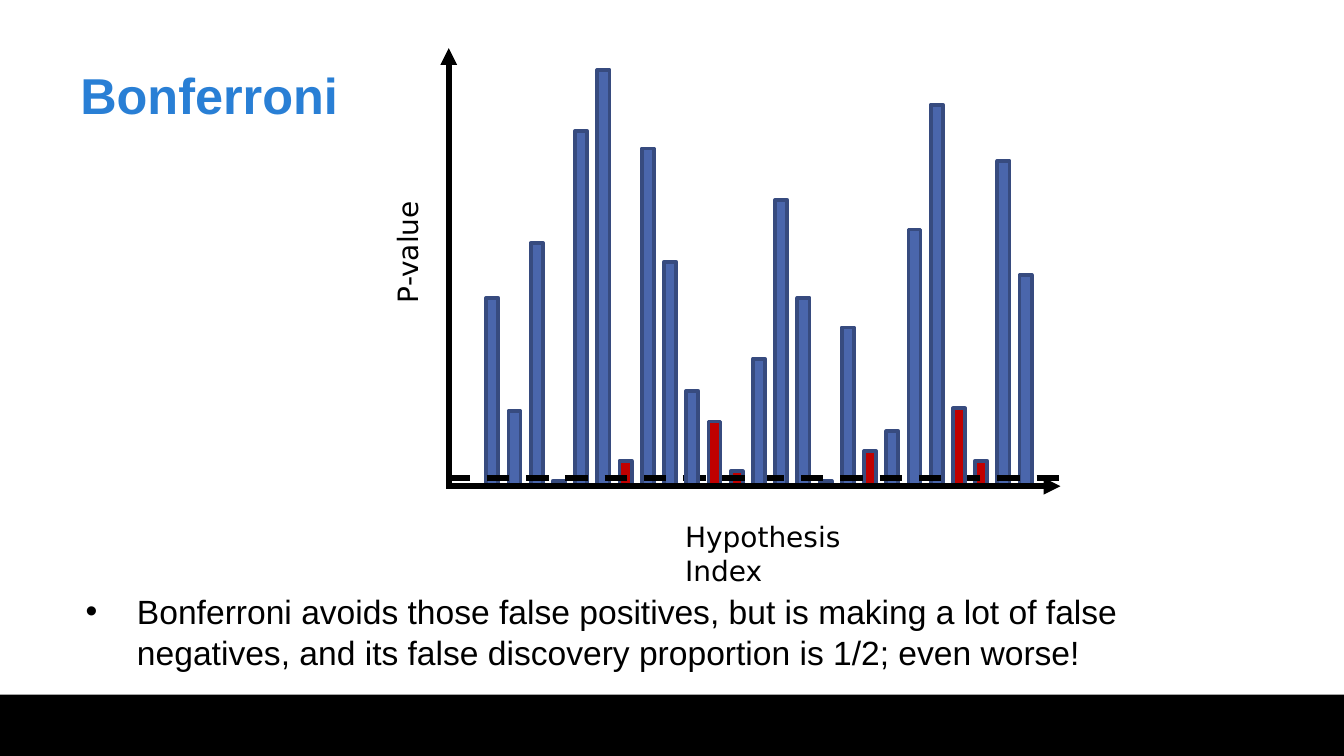
from dataclasses import dataclass

from lxml import etree
from pptx import Presentation
from pptx.dml.color import RGBColor
from pptx.enum.dml import MSO_LINE
from pptx.enum.shapes import MSO_CONNECTOR, MSO_SHAPE
from pptx.enum.text import MSO_ANCHOR
from pptx.oxml.ns import qn
from pptx.util import Cm, Pt

RECT = MSO_SHAPE.RECTANGLE
STRAIGHT = MSO_CONNECTOR.STRAIGHT
DASH = MSO_LINE.DASH
TOP, MIDDLE = MSO_ANCHOR.TOP, MSO_ANCHOR.MIDDLE


@dataclass(frozen=True)
class Theme:
    black: str = "000000"
    title: str = "297FD5"
    null_bar: str = "4A66AC"
    signal_bar: str = "C00000"
    bar_edge: str = "374B7F"
    font: str = "Arial"
    label_font: str = "DejaVu Sans"
    title_size: int = 27
    body_size: int = 18
    label_size: int = 15
    axis_width: int = 3
    edge_width: int = 2


def write_text(tf, text, *, size, font, color, bold=False):
    p = tf.paragraphs[0]
    r = p.add_run()
    r.text = text
    r.font.size = Pt(size)
    r.font.name = font
    r.font.bold = bold
    r.font.color.rgb = RGBColor.from_string(color)
    return p


class SlideBuilder:
    """Adds styled elements to a slide; positions are in centimetres."""

    def __init__(self, slide, theme):
        self.s = slide
        self.theme = theme

    def rect(self, x, y, w, h, fill, edge=None):
        sp = self.s.shapes.add_shape(RECT, Cm(x), Cm(y), Cm(w), Cm(h))
        sp.shadow.inherit = False
        sp.fill.solid()
        sp.fill.fore_color.rgb = RGBColor.from_string(fill)
        if edge:
            sp.line.color.rgb = RGBColor.from_string(edge)
            sp.line.width = Pt(self.theme.edge_width)
        else:
            sp.line.fill.background()

    def line(self, x1, y1, x2, y2, *, dash=None, arrow=False):
        cx = self.s.shapes.add_connector(STRAIGHT, Cm(x1), Cm(y1), Cm(x2), Cm(y2))
        cx.line.color.rgb = RGBColor.from_string(self.theme.black)
        cx.line.width = Pt(self.theme.axis_width)
        if dash:
            cx.line.dash_style = dash
        if arrow:
            ln = cx.line._get_or_add_ln()
            etree.SubElement(ln, qn("a:tailEnd"), type="triangle")
        etree.SubElement(cx._element.spPr, qn("a:effectLst"))

    def text(self, x, y, w, h, text, *, anchor=TOP, wrap=True, rotation=0, **style):
        sp = self.s.shapes.add_textbox(Cm(x), Cm(y), Cm(w), Cm(h))
        sp.rotation = rotation
        tf = sp.text_frame
        tf.word_wrap = wrap
        tf.vertical_anchor = anchor
        return write_text(tf, text, **style)

    def bullet(self, x, y, w, h, text, *, indent, **style):
        p = self.text(x, y, w, h, text, **style)
        pPr = p._p.get_or_add_pPr()
        pPr.set("marL", str(Cm(indent)))
        pPr.set("indent", str(-Cm(indent)))
        etree.SubElement(pPr, qn("a:buFont"), typeface=self.theme.font)
        etree.SubElement(pPr, qn("a:buChar"), char="•")


# P-value bar heights, in order of hypothesis index
HEIGHTS = [3.56, 1.42, 4.6, 0.1, 6.71, 7.87, 0.48, 6.38, 4.24, 1.8, 1.22, 0.28, 2.41,
           5.41, 3.56, 0.1, 3, 0.66, 1.04, 4.85, 7.21, 1.47, 0.48, 6.15, 3.99]
SIGNALS = {3, 6, 10, 11, 17, 21, 22}
OVER_THRESHOLD = {9, 12, 21}  # bars drawn in front of the dashed line
BAR_LEFT, BAR_PITCH, BAR_WIDTH = 9.19, 0.42, 0.23
AXIS_X, BASELINE, THRESHOLD = 8.48, 9.19, 9.04


def main():
    theme = Theme()
    prs = Presentation()
    prs.slide_width, prs.slide_height = Cm(25.4), Cm(14.29)
    b = SlideBuilder(prs.slides.add_slide(prs.slide_layouts[6]), theme)

    # Footer band, title and takeaway
    b.rect(0, 13.13, 25.4, 1.16, theme.black)
    b.text(1.27, 0.58, 22.86, 2.39, "Bonferroni", anchor=MIDDLE, bold=True,
           size=theme.title_size, font=theme.font, color=theme.title)
    b.bullet(1.37, 11.05, 22.6, 2,
             "Bonferroni avoids those false positives, but is making a lot of false "
             "negatives, and its false discovery proportion is 1/2; even worse!",
             indent=0.97, size=theme.body_size, font=theme.font, color=theme.black)

    # Vertical axis, bars and Bonferroni threshold
    b.line(AXIS_X, BASELINE, AXIS_X, 0.91, arrow=True)
    for in_front in (False, True):
        if in_front:
            b.line(8.46, THRESHOLD, 20.22, THRESHOLD, dash=DASH)
        for i, height in enumerate(HEIGHTS):
            if (i in OVER_THRESHOLD) == in_front:
                fill = theme.signal_bar if i in SIGNALS else theme.null_bar
                b.rect(BAR_LEFT + i * BAR_PITCH, BASELINE - height,
                       BAR_WIDTH, height, fill, theme.bar_edge)
    b.line(8.43, BASELINE, 20.04, BASELINE, arrow=True)

    # Axis labels
    label = dict(size=theme.label_size, font=theme.label_font, color=theme.black)
    b.text(6.45, 4.32, 2.46, 0.86, "P-value", wrap=False, rotation=270, **label)
    b.text(12.7, 9.7, 4.9, 0.89, "Hypothesis Index", **label)

    prs.save("out.pptx")


if __name__ == "__main__":
    main()
